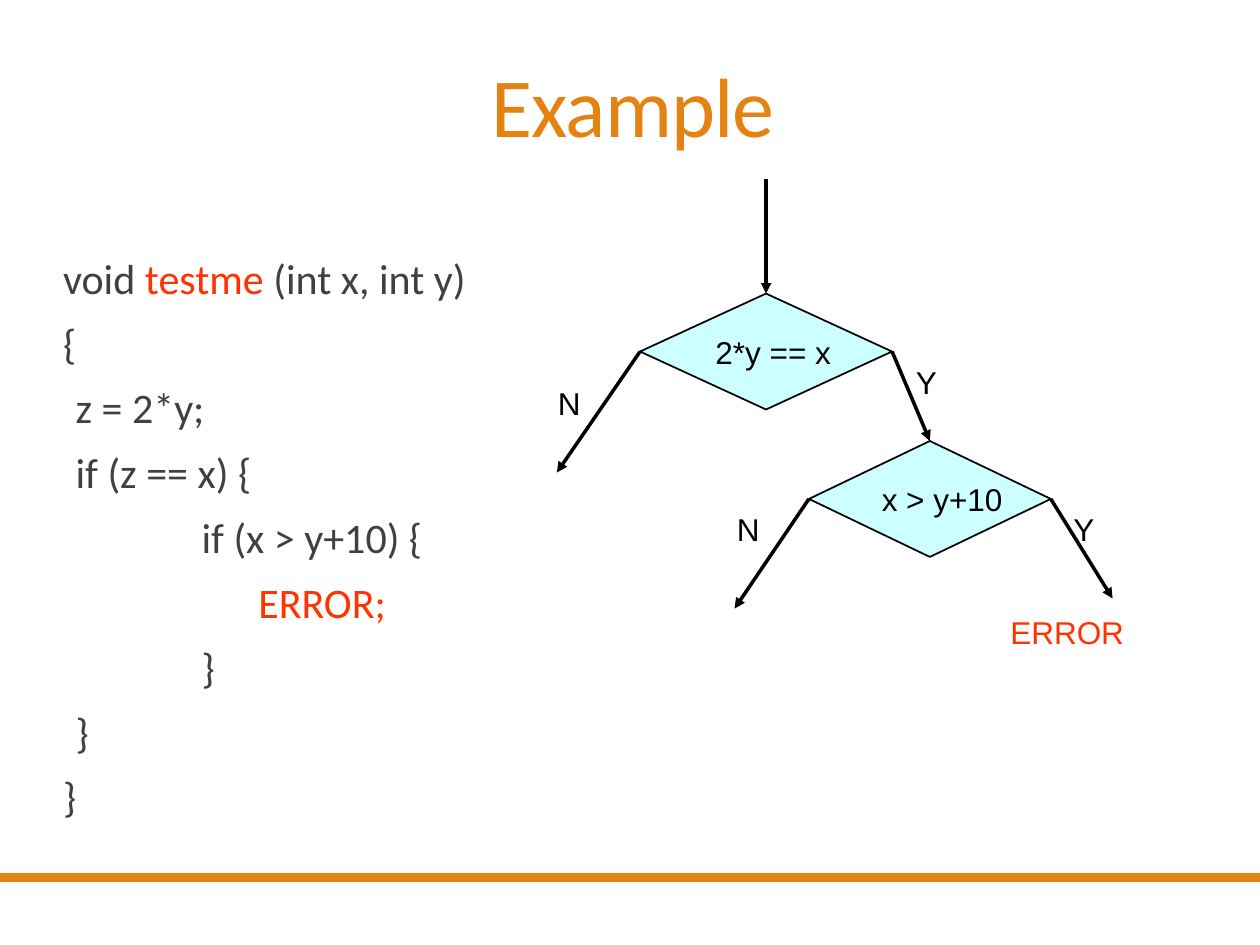
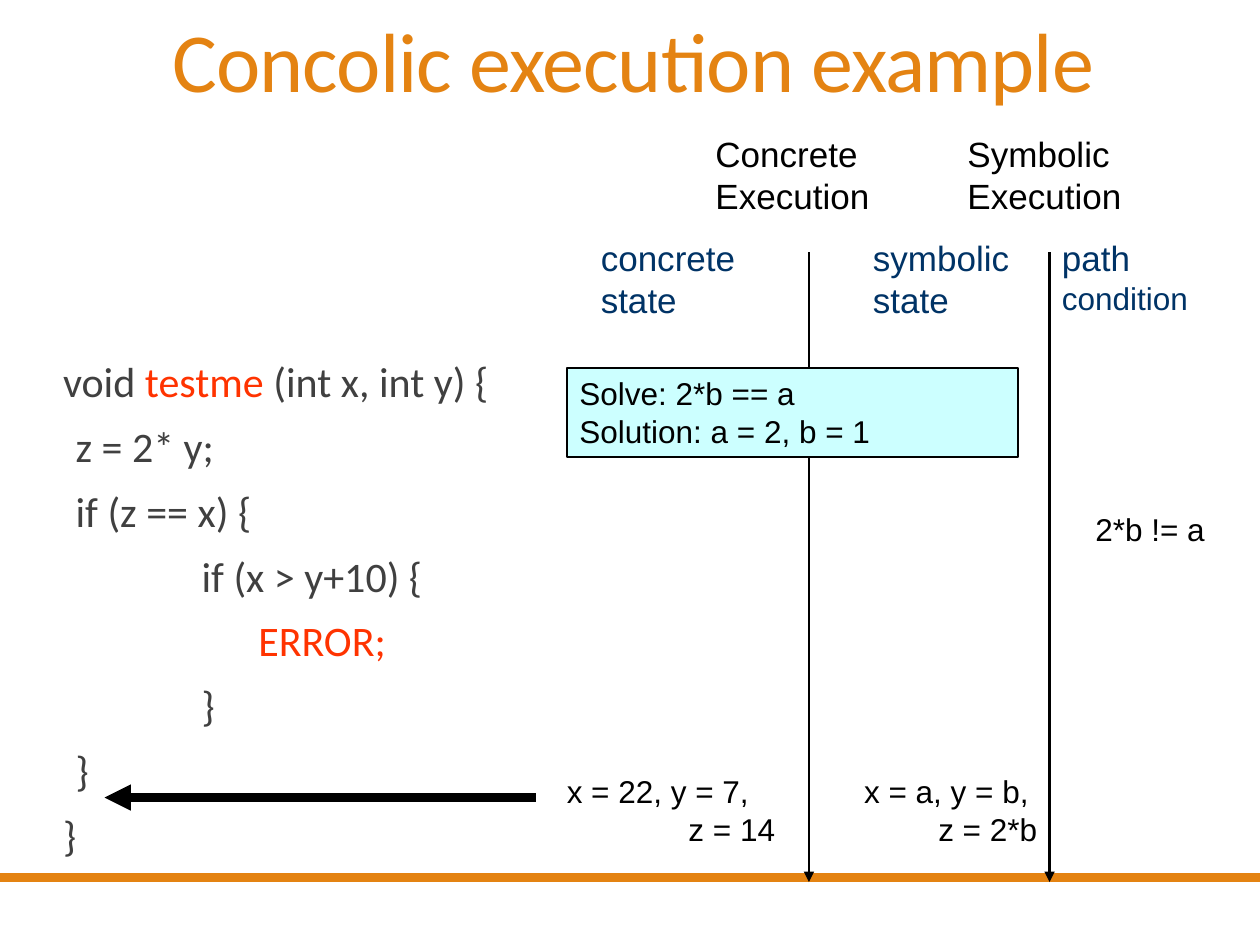
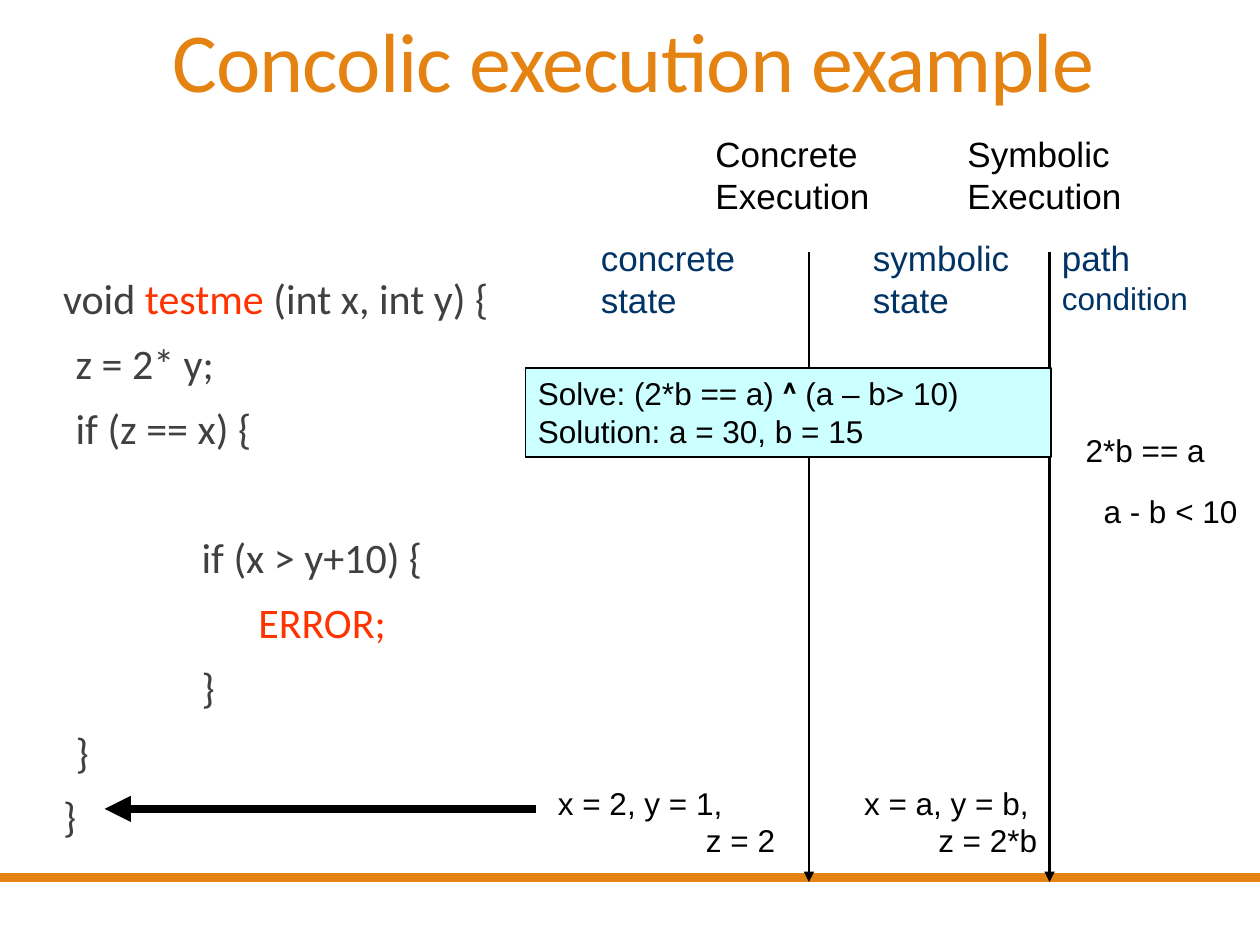
"""Build three slides that walk through a concolic execution example."""
from lxml import etree
from pptx import Presentation
from pptx import util as u
from pptx.dml.color import RGBColor
from pptx.enum import shapes, text
from pptx.oxml.ns import qn

COLORS = {"accent": "E48312", "code": "404040", "alert": "FF3300",
          "black": "000000", "navy": "003366", "box": "CCFFFF"}
LEFT, CENTER, RIGHT = text.PP_ALIGN.LEFT, text.PP_ALIGN.CENTER, text.PP_ALIGN.RIGHT
CODE_INDENTS = (0, 0.1, 1.1, 1.55)
CODE_END = [(2, "}"), (1, "}"), (0, "}")]
ERROR_LINE = (3, ("ERROR;", "alert"))
INNER_IF = (2, "if (x > y+10) {")


def rgb(name):
    return RGBColor.from_string(COLORS[name])


class Deck:
    def __init__(self):
        self.presentation = Presentation()
        self.presentation.slide_width = u.Inches(10)
        self.presentation.slide_height = u.Inches(7.5)
        self.slide = None

    def start_slide(self, title, title_top):
        self.slide = self.presentation.slides.add_slide(self.presentation.slide_layouts[6])
        band = self.shape(shapes.MSO_SHAPE.RECTANGLE, 0, 6.93, 10, 0.07, "accent")
        band.line.fill.background()
        frame = self.text_box(0.9, title_top, 8.25, 0.92)
        frame.vertical_anchor = text.MSO_ANCHOR.BOTTOM
        paragraph = self.paragraph(frame, [title], 48, "accent", CENTER, font="Calibri")
        paragraph.line_spacing = 0.85
        paragraph.runs[0].font._element.set("spc", "-50")

    def paragraph(self, frame, parts, size=18, color="black", align=LEFT, indent=0, font="Arial"):
        """Fill the empty first paragraph or add one; a part is text or (text, colour, size, font)."""
        paragraph = frame.paragraphs[-1]
        if paragraph.runs:
            paragraph = frame.add_paragraph()
        paragraph.alignment = align
        paragraph.font.name = font
        paragraph.font.size = u.Pt(size)
        paragraph.font.color.rgb = rgb(color)
        if indent:
            paragraph._p.get_or_add_pPr().set("marL", str(u.Inches(indent)))
        for part in parts:
            run = paragraph.add_run()
            if isinstance(part, str):
                run.text = part
                continue
            run.text, run_color, *rest = part
            run.font.color.rgb = rgb(run_color)
            if rest:
                run.font.size = u.Pt(rest[0])
            if len(rest) > 1:
                run.font.name, run.font.bold = rest[1], True
        return paragraph

    def text_box(self, left, top, width, height):
        box = self.slide.shapes.add_textbox(*map(u.Inches, (left, top, width, height)))
        box.text_frame.word_wrap = True
        return box.text_frame

    def label(self, left, top, width, parts, height=0.4, **style):
        self.paragraph(self.text_box(left, top, width, height), parts, **style)

    def shape(self, kind, left, top, width, height, fill):
        shape = self.slide.shapes.add_shape(kind, *map(u.Inches, (left, top, width, height)))
        shape.shadow.inherit = False
        shape.fill.solid()
        shape.fill.fore_color.rgb = rgb(fill)
        shape.line.color.rgb = rgb("black")
        shape.line.width = u.Pt(1)
        return shape

    def decision(self, left, top, width, condition):
        diamond = self.shape(shapes.MSO_SHAPE.DIAMOND, left, top, width, 0.92, "box")
        diamond.text_frame.word_wrap = False
        diamond.text_frame.vertical_anchor = text.MSO_ANCHOR.MIDDLE
        self.paragraph(diamond.text_frame, [condition])
        return diamond

    def solver(self, left, width, lines):
        box = self.shape(shapes.MSO_SHAPE.RECTANGLE, left, 2.92, width, 0.71, "box")
        box.text_frame.vertical_anchor = text.MSO_ANCHOR.TOP
        box.text_frame.word_wrap = True
        for parts in lines:
            self.paragraph(box.text_frame, parts)

    def arrow(self, start, end, width=2, begin=None, finish=None):
        """Draw an arrow; begin and finish are (shape, side) pairs to join."""
        line = self.slide.shapes.add_connector(
            shapes.MSO_CONNECTOR.STRAIGHT, *map(u.Inches, (*start, *end)))
        if begin:
            line.begin_connect(*begin)
        if finish:
            line.end_connect(*finish)
        line.line.color.rgb = rgb("black")
        line.line.width = u.Pt(width)
        etree.SubElement(line.line._get_or_add_ln(), qn("a:tailEnd"), type="triangle")
        etree.SubElement(line._element.spPr, qn("a:effectLst"))

    def code(self, top, lines):
        """Write code lines given as (level, part, ...); a level above 9 opens a gap first."""
        frame = self.text_box(0.5, top, 4.42, 4.7)
        frame.margin_left = frame.margin_right = 0
        for level, *parts in lines:
            paragraph = self.paragraph(frame, parts, 24, "code",
                                       indent=CODE_INDENTS[level % 10], font="Calibri")
            paragraph.line_spacing = 0.8
            paragraph.space_before = u.Pt(49 if level > 9 else 12)
            paragraph.space_after = u.Pt(2)

    def execution_columns(self):
        for x in (6.42, 8.33):
            self.arrow((x, 2), (x, 7), 1.5)
        for x, name in ((5.58, "Concrete"), (7.58, "Symbolic")):
            self.label(x, 1, 1.67, [f"{name} Execution"], 0.77, size=20)
        for x, name in ((4.67, "concrete"), (6.83, "symbolic")):
            self.label(x, 1.83, 1.5, [f"{name} state"], 0.77, size=20, color="navy")
        self.label(8.33, 1.83, 1.67, ["path ", ("condition", "navy", 18)], 0.73,
                   size=20, color="navy")

    def state_row(self, arrow_y, concrete, indent):
        self.arrow((4.25, arrow_y), (0.83, arrow_y), 5)
        symbolic = ("x = a, y = b,", "z = 2*b")
        for left, width, values, first_indent in ((4.25, 2, concrete, indent),
                                                  (6.58, 1.75, symbolic, 0.18)):
            frame = self.text_box(left, arrow_y - 0.25, width, 0.7)
            self.paragraph(frame, [values[0]], indent=first_indent)
            self.paragraph(frame, [values[1]], align=RIGHT)


def signature(ending):
    return (0, "void ", ("testme ", "alert"), ending)


def build_decision_tree(deck):
    deck.start_slide("Example", 0.36)
    outer = deck.decision(5.08, 2.33, 2, "2*y == x")
    inner = deck.decision(6.42, 3.5, 1.92, "x > y+10")
    deck.arrow((6.08, 1.42), (6.08, 2.33), finish=(outer, 0))
    deck.arrow((5.08, 2.79), (4.42, 3.75), begin=(outer, 1))
    deck.arrow((7.08, 2.79), (7.38, 3.5), begin=(outer, 3), finish=(inner, 0))
    deck.arrow((6.42, 3.96), (5.83, 4.83), begin=(inner, 1))
    deck.arrow((8.33, 3.96), (8.83, 4.75), begin=(inner, 3))
    for x, y, answer in ((7.17, 2.83, "Y"), (8.42, 4, "Y"), (4.33, 3, "N"), (5.75, 4, "N")):
        deck.label(x, y, 0.5, [answer])
    deck.label(7.92, 4.82, 1.58, ["ERROR"], color="alert")
    deck.code(2.03, [signature("(int x, int y)"), (0, "{"), (1, "z = 2*y;"),
                     (1, "if (z == x) {"), INNER_IF, ERROR_LINE, *CODE_END])


def build_execution(deck, code_top, inner_if, arrow_y, concrete, indent, conditions, solver):
    deck.start_slide("Concolic execution example", 0)
    deck.code(code_top, [signature("(int x, int y) {"), (1, "z = 2* y;"),
                         (1, "if (z == x) {"), inner_if, ERROR_LINE, *CODE_END])
    deck.execution_columns()
    deck.state_row(arrow_y, concrete, indent)
    for left, top, width, condition in conditions:
        deck.label(left, top, width, [condition], align=RIGHT)
    deck.solver(*solver)


def main():
    deck = Deck()
    build_decision_tree(deck)
    build_execution(
        deck, 2.85, INNER_IF, 6.33, ("x = 22, y = 7,", "z = 14"), 0.15,
        [(8.33, 4, 1.33, "2*b != a")],
        (4.5, 3.58, [["Solve: 2*b == a"], ["Solution: a = 2, b = 1"]]))
    build_execution(
        deck, 2.19, (12, INNER_IF[1]), 6.42, ("x = 2, y = 1,", "z = 2"), 0.08,
        [(8.33, 3.37, 1.33, "2*b == a"), (8.41, 3.86, 1.51, "a - b < 10")],
        (4.17, 4.17, [["Solve: (2*b == a) ", ("^", "black", 18, "Roboto"), " (a – b> 10)"],
                      ["Solution: a = 30, b = 15"]]))
    deck.presentation.save("out.pptx")


if __name__ == "__main__":
    main()
